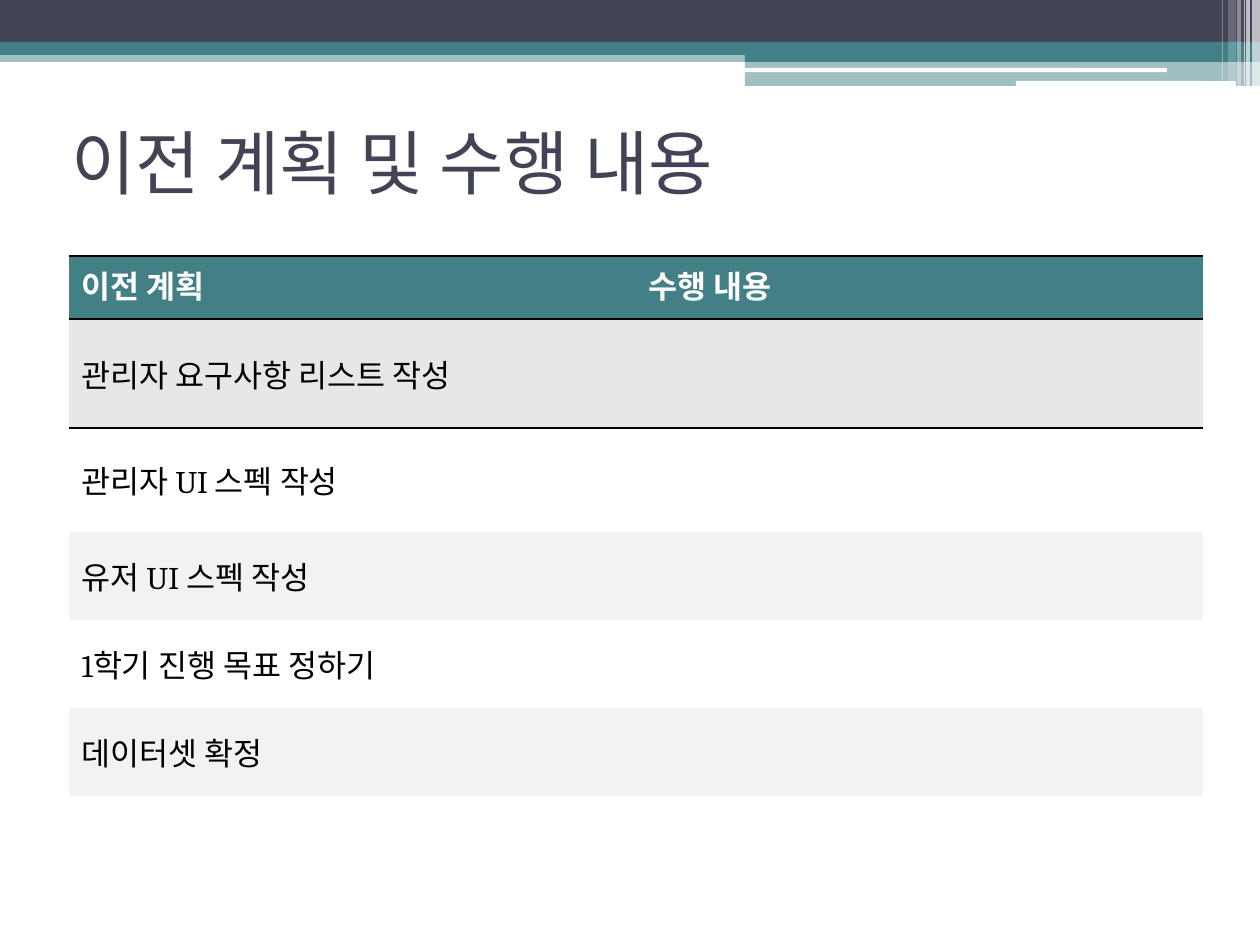
import lxml.etree
import pptx
import pptx.util
import pptx.dml.color
import pptx.enum.shapes
import pptx.enum.text
import pptx.oxml
import pptx.oxml.ns
from dataclasses import dataclass

SCALE = 914400 / 126
TEAL, NAVY, WHITE, BLACK = "438086", "424456", "FFFFFF", "000000"
KIND = pptx.enum.shapes.MSO_SHAPE
ANCHOR = pptx.enum.text.MSO_ANCHOR
qn = pptx.oxml.ns.qn


@dataclass
class Bar:
    left: int
    top: int
    width: int
    height: int
    fill: str
    alpha: int = 100
    round: bool = False


@dataclass
class Row:
    height: int
    fill: str
    cells: tuple[str, str]


BARS = [
    Bar(0, 50, 1260, 12, TEAL, 50),
    Bar(0, 0, 1260, 42, NAVY),
    Bar(0, 42, 1260, 13, TEAL),
    Bar(745, 49, 515, 13, TEAL),
    Bar(745, 61, 515, 25, TEAL, 50),
    Bar(745, 68, 422, 4, WHITE, round=True),
    Bar(1016, 81, 220, 5, WHITE, round=True),
    Bar(1252, 0, 8, 86, WHITE, 65),
    Bar(1246, 0, 4, 86, WHITE, 65),
    Bar(1244, 0, 1, 86, WHITE, 60),
    Bar(1237, 0, 4, 86, WHITE, 40),
    Bar(1228, 0, 8, 81, WHITE, 20),
    Bar(1222, 0, 1, 81, WHITE, 30),
]

ROWS = [
    Row(63, TEAL, ("이전 계획", "수행 내용")),
    Row(109, "E7E7E7", ("관리자 요구사항 리스트 작성", "")),
    Row(104, WHITE, ("관리자 UI 스펙 작성", "")),
    Row(88, "F2F2F2", ("유저 UI 스펙 작성", "")),
    Row(88, WHITE, ("1학기 진행 목표 정하기", "")),
    Row(88, "F2F2F2", ("데이터셋 확정", "")),
]


def px(size: int) -> int:
    return pptx.util.Emu(round(size * SCALE))


def color(code: str):
    return pptx.dml.color.RGBColor.from_string(code)


def paint(fill, code: str) -> None:
    fill.solid()
    fill.fore_color.rgb = color(code)


def write(frame, text: str, size: int, face: str, code: str, bold: bool = False) -> None:
    run = frame.paragraphs[0].add_run()
    run.text = text
    font = run.font
    font.size = pptx.util.Pt(size)
    font.name = face
    font.bold = bold
    font.color.rgb = color(code)


def draw_bar(slide, bar: Bar) -> None:
    kind = KIND.ROUNDED_RECTANGLE if bar.round else KIND.RECTANGLE
    shape = slide.shapes.add_shape(
        kind, px(bar.left), px(bar.top), px(bar.width), px(bar.height))
    shape.shadow.inherit = False
    shape.line.fill.background()
    paint(shape.fill, bar.fill)
    if bar.alpha < 100:
        tint = next(shape._element.spPr.iter(qn("a:srgbClr")))
        lxml.etree.SubElement(tint, qn("a:alpha"), val=str(bar.alpha * 1000))


def draw_title(slide, text: str) -> None:
    box = slide.shapes.add_textbox(px(59), px(88), px(1134), px(147))
    frame = box.text_frame
    frame.word_wrap = True
    frame.vertical_anchor = ANCHOR.MIDDLE
    write(frame, text, 40, "Roboto", NAVY)


def add_edge(cell, side: str) -> None:
    edge = pptx.oxml.parse_xml(
        f'<a:{side} {pptx.oxml.ns.nsdecls("a")} w="12192"><a:solidFill>'
        f'<a:srgbClr val="{BLACK}"/></a:solidFill></a:{side}>')
    cell._tc.get_or_add_tcPr().append(edge)


def draw_table(slide, rows: list[Row]) -> None:
    high = sum(row.height for row in rows)
    table = slide.shapes.add_table(
        len(rows), 2, px(69), px(256), px(1134), px(high)).table
    table.first_row = table.horz_banding = False
    style = table._tbl.tblPr.find(qn("a:tableStyleId"))
    style.text = "{2D5ABB26-0587-4C30-8999-92F81FD0307C}"
    for i, row in enumerate(rows):
        head = i == 0
        table.rows[i].height = px(row.height)
        for cell, text in zip(table.rows[i].cells, row.cells):
            cell.vertical_anchor = ANCHOR.TOP if head else ANCHOR.MIDDLE
            if i < 2:
                add_edge(cell, "lnT")
            if head:
                add_edge(cell, "lnB")
            paint(cell.fill, row.fill)
            if text:
                write(cell.text_frame, text, 18, "Cambria",
                      WHITE if head else BLACK, head)


def main() -> None:
    deck = pptx.Presentation()
    deck.slide_width, deck.slide_height = px(1260), px(945)
    slide = deck.slides.add_slide(deck.slide_layouts[6])
    for bar in BARS:
        draw_bar(slide, bar)
    draw_title(slide, "이전 계획 및 수행 내용")
    draw_table(slide, ROWS)
    deck.save("out.pptx")


if __name__ == "__main__":
    main()
